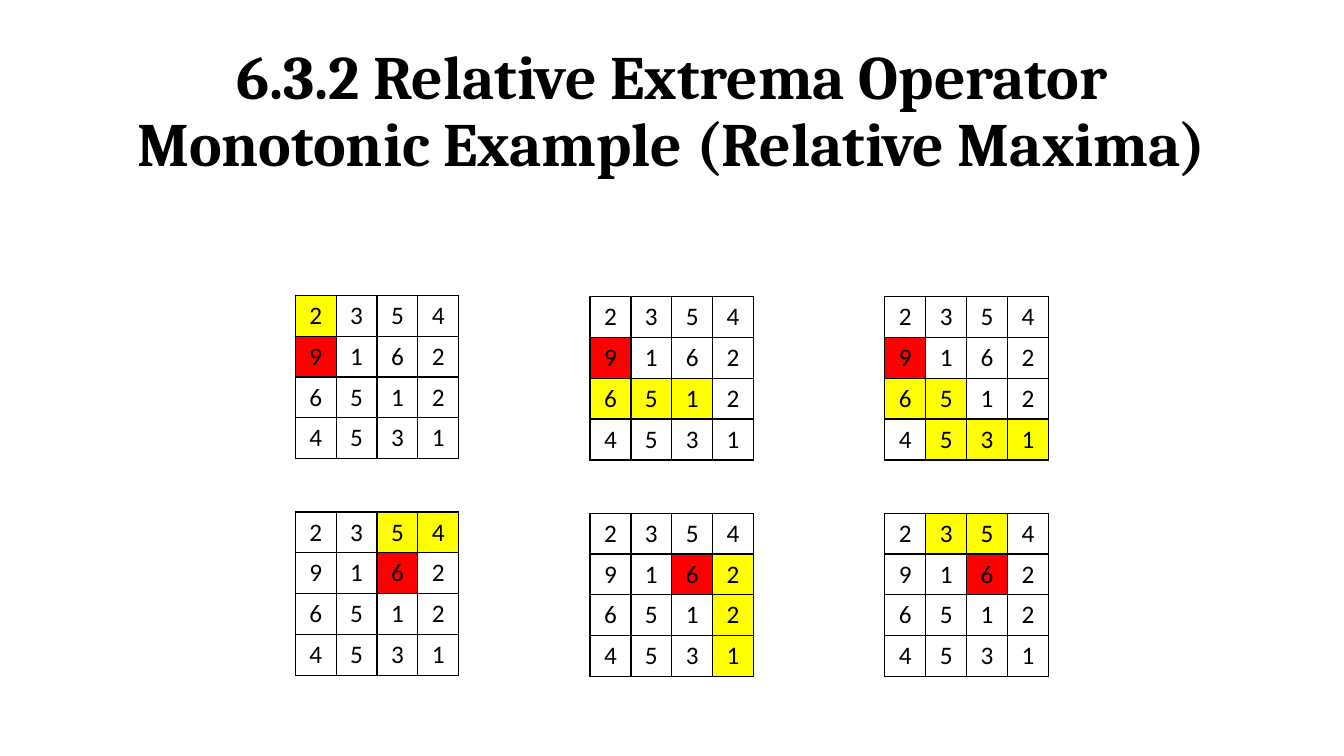
from lxml.etree import SubElement
from pptx import Presentation
from pptx.dml.color import RGBColor
from pptx.enum.text import MSO_ANCHOR as Anchor, PP_ALIGN as Align
from pptx.oxml.ns import qn
from pptx.util import Cm, Pt

BLACK, WHITE, RED, YELLOW = "000000", "FFFFFF", "FF0000", "FFFF00"

TITLE = ["6.3.2 Relative Extrema Operator", "Monotonic Example (Relative Maxima)"]
VALUES = ["2354", "9162", "6512", "4531"]

# Each step marks its cells: R for the maximum, Y for the path, . for the rest
STEPS = [
    [["Y...", "R...", "....", "...."],
     ["....", "R...", "YYY.", "...."],
     ["....", "R...", "YY..", ".YYY"]],
    [["..YY", "..R.", "....", "...."],
     ["....", "..RY", "...Y", "...Y"],
     [".YY.", "..R.", "....", "...."]],
]
MARK_FILLS = {"R": RED, "Y": YELLOW, ".": WHITE}

CELL = 1.03
GRID_LEFT, GRID_TOP = 7.44, 7.47
STEP_X, STEP_Y = 7.43, 5.46
FIRST_COLUMN_RISE = 0.03


def rgb(color):
    return RGBColor.from_string(color)


def add_run(p, text, size, font, bold=False):
    r = p.add_run()
    r.text = text
    r.font.size = Pt(size)
    r.font.name = font
    r.font.bold = bold
    r.font.color.rgb = rgb(BLACK)


def add_title(slide, lines):
    tf = slide.shapes.add_textbox(Cm(2.33), Cm(1.01), Cm(29.21), Cm(3.68)).text_frame
    tf.word_wrap = True
    tf.vertical_anchor = Anchor.MIDDLE
    p = tf.paragraphs[0]
    p.alignment = Align.CENTER
    p.line_spacing = 0.9
    for i, line in enumerate(lines):
        if i:
            p.add_line_break()
        add_run(p, line, 44, "Cambria", bold=True)


def add_borders(cell, color, width):
    tc_pr = cell._tc.get_or_add_tcPr()
    for side in ("a:lnL", "a:lnR", "a:lnT", "a:lnB"):
        ln = SubElement(tc_pr, qn(side), w=str(Pt(width)))
        fill = SubElement(ln, qn("a:solidFill"))
        SubElement(fill, qn("a:srgbClr"), val=color)


def fill_cell(cell, text, color):
    cell.margin_left = cell.margin_right = Cm(0)
    cell.margin_top = cell.margin_bottom = Cm(0)
    cell.vertical_anchor = Anchor.MIDDLE
    p = cell.text_frame.paragraphs[0]
    p.alignment = Align.CENTER
    add_run(p, text, 18, "Calibri")
    add_borders(cell, BLACK, 1)
    cell.fill.solid()
    cell.fill.fore_color.rgb = rgb(color)


def add_grid(slide, left, top, marks):
    n = len(VALUES)
    side = Cm(n * CELL)
    table = slide.shapes.add_table(n, n, Cm(left), Cm(top), side, side).table
    table.first_row = table.horz_banding = False
    for line in (*table.columns,):
        line.width = Cm(CELL)
    for row, values, row_marks in zip(table.rows, VALUES, marks):
        row.height = Cm(CELL)
        for cell, value, mark in zip(row.cells, values, row_marks):
            fill_cell(cell, value, MARK_FILLS[mark])


def main():
    prs = Presentation()
    prs.slide_width, prs.slide_height = Cm(33.87), Cm(19.05)
    slide = prs.slides.add_slide(prs.slide_layouts[6])
    add_title(slide, TITLE)
    for i, step_row in enumerate(STEPS):
        for j, marks in enumerate(step_row):
            rise = FIRST_COLUMN_RISE if j == 0 else 0
            add_grid(slide, GRID_LEFT + j * STEP_X, GRID_TOP + i * STEP_Y - rise, marks)
    prs.save("out.pptx")


if __name__ == "__main__":
    main()
